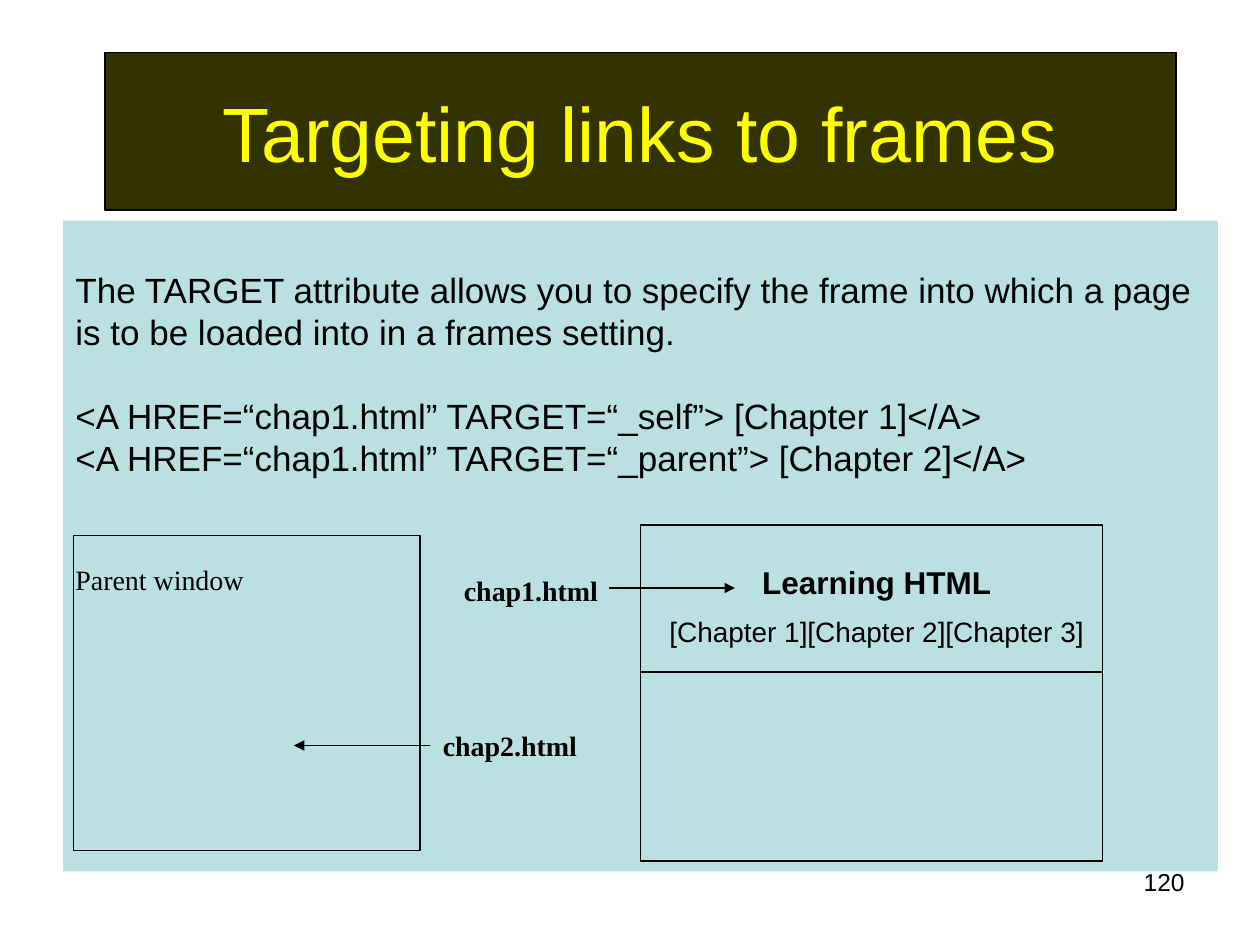
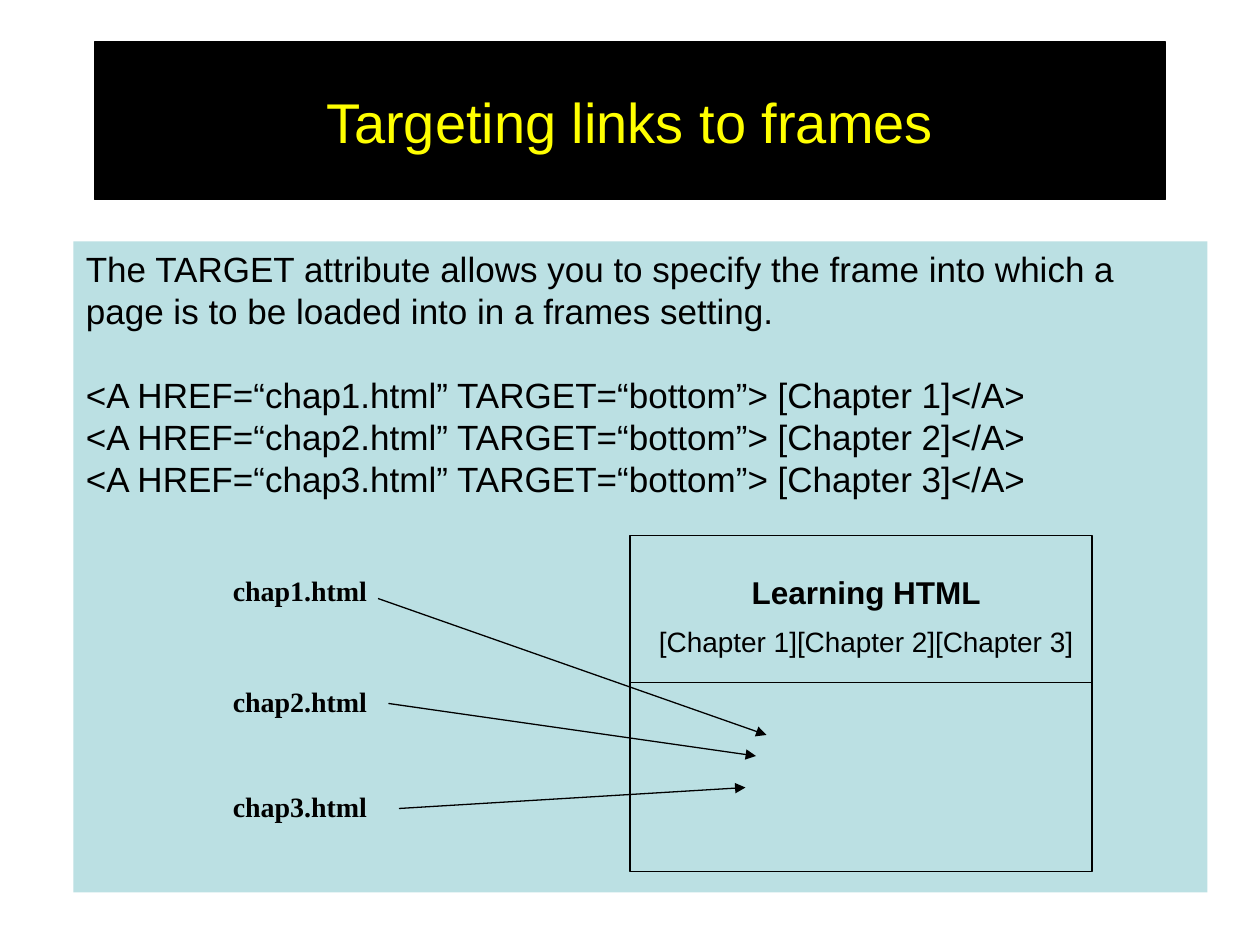
from dataclasses import dataclass

from lxml import etree
from pptx import Presentation
from pptx import util as u
from pptx.dml.color import RGBColor
from pptx.enum import shapes, text
from pptx.oxml.ns import qn

BLACK = RGBColor(0x00, 0x00, 0x00)
OLIVE = RGBColor(0x33, 0x33, 0x00)
YELLOW = RGBColor(0xFF, 0xFF, 0x00)
PALE_TEAL = RGBColor(0xBB, 0xE0, 0xE3)

SANS = "Arial"
SERIF = "Times New Roman"
HAIRLINE = u.Pt(0.75)
BLANK_LINE = u.Pt(24)

SLIDE_WIDTH, SLIDE_HEIGHT = u.Inches(10), u.Inches(7.5)
COLUMNS = 120
CELL = SLIDE_WIDTH / COLUMNS  # the grid is square: 120 columns by 90 rows

TITLE = "Targeting links to frames"
INTRO = ("The TARGET attribute allows you to specify the frame into which "
         "a page is to be loaded into in a frames setting.")


@dataclass
class Box:
    """An area in grid columns and rows."""
    left: float
    top: float
    width: float
    height: float

    def inner(self, left, top, width, height):
        return Box(self.left + left, self.top + top, width, height)

    def point(self, column, row):
        return cells(self.left + column, self.top + row)

    def lengths(self):
        return cells(self.left, self.top, self.width, self.height)


def cells(*counts):
    return [u.Emu(round(count * CELL)) for count in counts]


def add_span(para, words, size, font=SANS, color=BLACK, bold=False):
    span = para.add_run()
    span.text = words
    span.font.size = u.Pt(size)
    span.font.name = font
    span.font.color.rgb = color
    span.font.bold = bold


def add_paragraph(frame, first, align=text.PP_ALIGN.LEFT, before=0):
    para = frame.paragraphs[0] if first else frame.add_paragraph()
    para.alignment = align
    para.space_before = before
    return para


def add_rectangle(parent, box, fill=None, outlined=True):
    rectangle = parent.shapes.add_shape(
        shapes.MSO_SHAPE.RECTANGLE, *box.lengths())
    rectangle.shadow.inherit = False
    if fill is None:
        rectangle.fill.background()
    else:
        rectangle.fill.solid()
        rectangle.fill.fore_color.rgb = fill
    if outlined:
        rectangle.line.color.rgb = BLACK
        rectangle.line.width = HAIRLINE
    else:
        rectangle.line.fill.background()
    return rectangle


def add_textbox(parent, box):
    textbox = parent.shapes.add_textbox(*box.lengths())
    textbox.text_frame.word_wrap = True
    return textbox


def add_line(parent, start, end, arrow=False):
    line = parent.shapes.add_connector(
        shapes.MSO_CONNECTOR.STRAIGHT, *start, *end)
    line.line.color.rgb = BLACK
    line.line.width = HAIRLINE
    properties = line._element.spPr
    if arrow:
        outline = properties.find(qn("a:ln"))
        etree.SubElement(outline, qn("a:tailEnd"), type="triangle")
    etree.SubElement(properties, qn("a:effectLst"))
    return line


def add_title(page, box, fill, size):
    title = page.shapes.title
    title.left, title.top, title.width, title.height = box.lengths()
    title.fill.solid()
    title.fill.fore_color.rgb = fill
    title.line.color.rgb = BLACK
    title.line.width = HAIRLINE
    frame = title.text_frame
    frame.auto_size = text.MSO_AUTO_SIZE.NONE
    frame.vertical_anchor = text.MSO_ANCHOR.MIDDLE
    para = add_paragraph(frame, True, text.PP_ALIGN.CENTER)
    add_span(para, TITLE, size, color=YELLOW)


def add_panel(page, box, links, top_gap=0):
    """Teal panel with the introduction and the link examples."""
    frame = add_rectangle(page, box, PALE_TEAL, outlined=False).text_frame
    frame.word_wrap = True
    frame.vertical_anchor = text.MSO_ANCHOR.TOP
    frame.margin_top = u.Inches(0.05) + top_gap
    add_span(add_paragraph(frame, True), INTRO, 20)
    for index, (file, target, chapter) in enumerate(links):
        para = add_paragraph(frame, False, before=0 if index else BLANK_LINE)
        add_span(para, f"<A HREF=“{file}.html” TARGET=“{target}”> "
                       f"[Chapter {chapter}]</A>", 20)
    return frame


def add_browser_window(page, box):
    """Window split into a heading frame and an empty frame below it."""
    group = page.shapes.add_group_shape()
    heading = add_textbox(group, box.inner(1, 3, box.width - 1, 9.6)).text_frame
    centre = text.PP_ALIGN.CENTER
    add_span(add_paragraph(heading, True, centre), "Learning HTML", 18, bold=True)
    chapters = add_paragraph(heading, False, centre, before=u.Pt(8))
    add_span(chapters, "[Chapter 1][Chapter 2][Chapter 3]", 16)
    add_rectangle(group, box)
    add_line(group, box.point(0, 14), box.point(box.width, 14))


def add_file_label(page, panel, name, left, middle):
    height = 4.4
    label = add_textbox(page, panel.inner(left, middle - height / 2, 17, height))
    para = add_paragraph(label.text_frame, True)
    add_span(para, f"{name}.html", 16, SERIF, bold=True)
    return label


def add_page_number(page, number):
    frame = add_textbox(page, Box(86, 82, 28, 6.2)).text_frame
    add_span(add_paragraph(frame, True, text.PP_ALIGN.RIGHT), number, 14)


def add_special_targets_slide(deck):
    page = deck.slides.add_slide(deck.slide_layouts[5])
    add_title(page, Box(10, 5, 102, 15), OLIVE, 44)
    panel = Box(6, 21, 110, 62)
    links = [("chap1", "_self", 1), ("chap1", "_parent", 2)]
    frame = add_panel(page, panel, links, top_gap=BLANK_LINE)
    caption = add_paragraph(frame, False, before=2 * BLANK_LINE)
    add_span(caption, "Parent window", 16, SERIF)

    add_browser_window(page, panel.inner(55, 29, 44, 32))
    add_rectangle(page, panel.inner(1, 30, 33, 30))
    add_file_label(page, panel, "chap1", 37, 35.2)
    add_line(page, panel.point(52, 35), panel.point(64, 35), arrow=True)
    parent_file = add_file_label(page, panel, "chap2", 35, 50)
    to_parent = add_line(page, panel.point(35, 50), panel.point(22, 50), arrow=True)
    to_parent.begin_connect(parent_file, 1)
    add_page_number(page, "120")


def add_named_target_slide(deck):
    page = deck.slides.add_slide(deck.slide_layouts[5])
    add_title(page, Box(9, 4, 102, 15), BLACK, 32)
    panel = Box(7, 23, 108, 62)
    files = [f"chap{chapter}" for chapter in (1, 2, 3)]
    add_panel(page, panel, [(file, "bottom", chapter)
                            for chapter, file in enumerate(files, 1)])
    add_browser_window(page, panel.inner(53, 28, 44, 32))
    label_rows = (33.2, 43.8, 53.8)
    tip_rows = (47, 49, 52)
    for index, (file, row, tip) in enumerate(zip(files, label_rows, tip_rows)):
        add_file_label(page, panel, file, 14, row)
        add_line(page, panel.point(29 + index, 34 + 10 * index),
                 panel.point(66 - index, tip), arrow=True)


def main():
    deck = Presentation()
    deck.slide_width, deck.slide_height = SLIDE_WIDTH, SLIDE_HEIGHT
    add_special_targets_slide(deck)
    add_named_target_slide(deck)
    deck.save("out.pptx")


if __name__ == "__main__":
    main()
